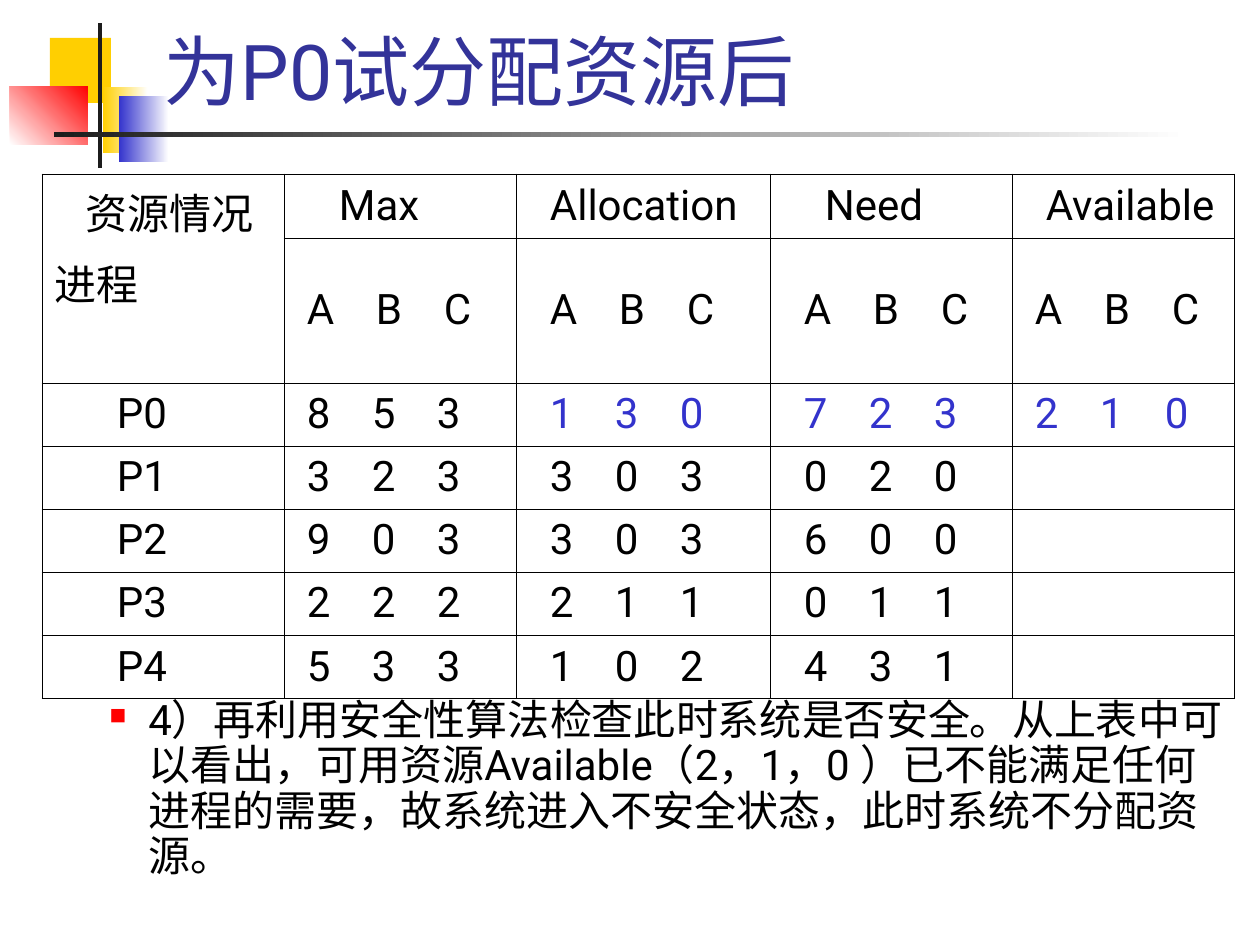
"""Builds a slide with the resource table after a trial allocation to P0."""
from lxml.etree import SubElement
from pptx import Presentation
from pptx.dml.color import RGBColor
from pptx.enum.shapes import MSO_SHAPE as Shape
from pptx.enum.text import MSO_ANCHOR as Anchor, PP_ALIGN as Align
from pptx.oxml.ns import qn
from pptx.util import Emu, Pt

SCALE = 914400 // 126
FONT = "Roboto"
BLACK = RGBColor(0x00, 0x00, 0x00)
WHITE = RGBColor(0xFF, 0xFF, 0xFF)
INK = RGBColor(0x1C, 0x1C, 0x1C)
YELLOW = RGBColor(0xFF, 0xCF, 0x01)
RED = RGBColor(0xFF, 0x00, 0x00)
BLUE = RGBColor(0x33, 0x33, 0xCC)
NAVY = RGBColor(0x33, 0x33, 0x99)

TITLE = "为P0试分配资源后"
NOTE = ("4）再利用安全性算法检查此时系统是否安全。从上表中可以看出，"
        "可用资源Available（2，1，0 ）已不能满足任何进程的需要，"
        "故系统进入不安全状态，此时系统不分配资源。")
CORNER = ["资源情况", "进程"]
GROUPS = ["Max", "Allocation", "Need", "Available"]
RESOURCES = "ABC"
PROCESSES = [
    ("P0", "853", "130", "723", "210"),
    ("P1", "323", "303", "020"),
    ("P2", "903", "303", "600"),
    ("P3", "222", "211", "011"),
    ("P4", "533", "102", "431"),
]
DECORATIONS = [
    ((50, 38, 61, 65), [YELLOW], 0),
    ((103, 87, 45, 66), [YELLOW, WHITE], 0),
    ((119, 96, 50, 66), [BLUE, WHITE], 0),
    ((10, 86, 78, 59), [WHITE, RED], 45),
    ((98, 23, 4, 145), [INK], 0),
    ((54, 132, 1134, 5), [INK, WHITE], 0),
]

COLUMN_WIDTHS = [242, 232, 254, 242, 222]
ROW_HEIGHTS = [64, 145] + [63] * len(PROCESSES)
CELL_MARGIN = 13
GROUP_INDENTS = [42, 21, 42, 21]
VALUE_INDENTS = [10, 21, 21, 10]
PROCESS_INDENT = 62
LETTER_TABS = [69, 137]
DIGIT_TABS = [65, 130]


def px(value):
    return Emu(value * SCALE)


def box(*lengths):
    return [px(length) for length in lengths]


def style(paragraph, size, color):
    paragraph.font.name = FONT
    paragraph.font.size = Pt(size)
    paragraph.font.color.rgb = color


def add_decoration(slide, place, colors, angle):
    shape = slide.shapes.add_shape(Shape.RECTANGLE, *box(*place))
    shape.shadow.inherit = False
    shape.line.fill.background()
    if len(colors) == 1:
        shape.fill.solid()
        shape.fill.fore_color.rgb = colors[0]
        return
    shape.fill.gradient()
    shape.fill.gradient_angle = angle
    for stop, color in zip(shape.fill.gradient_stops, colors):
        stop.color.rgb = color


def frame_cell(cell):
    properties = cell._tc.get_or_add_tcPr()
    for side in ("lnL", "lnR", "lnT", "lnB"):
        line = SubElement(properties, qn(f"a:{side}"), w=str(Pt(0.45)))
        fill = SubElement(line, qn("a:solidFill"))
        SubElement(fill, qn("a:srgbClr"), val=str(BLACK))
    cell.fill.background()


def write_cell(cell, text, indent, tabs=(), color=BLACK):
    cell.vertical_anchor = Anchor.MIDDLE
    cell.margin_left = px(CELL_MARGIN + indent)
    paragraph = cell.text_frame.paragraphs[0]
    paragraph.text = text
    if tabs:
        tab_list = SubElement(paragraph._p.get_or_add_pPr(), qn("a:tabLst"))
        for position in tabs:
            SubElement(tab_list, qn("a:tab"), pos=str(px(position)), algn="l")
    style(paragraph, 24, color)


def write_corner(cell):
    cell.text = "\n".join(CORNER)
    first, second = cell.text_frame.paragraphs
    first._p.get_or_add_pPr().set("marL", str(px(31)))
    second.space_before = Pt(6)
    for paragraph in (first, second):
        style(paragraph, 24, BLACK)


def add_resource_table(slide):
    place = box(42, 174, sum(COLUMN_WIDTHS), sum(ROW_HEIGHTS))
    table = slide.shapes.add_table(len(ROW_HEIGHTS), len(COLUMN_WIDTHS), *place).table
    table.first_row = table.horz_banding = False
    for column, width in zip(table.columns, COLUMN_WIDTHS):
        column.width = px(width)
    for row, height in zip(table.rows, ROW_HEIGHTS):
        row.height = px(height)
    for cell in table.iter_cells():
        frame_cell(cell)
    table.cell(0, 0).merge(table.cell(1, 0))
    write_corner(table.cell(0, 0))
    for index, group in enumerate(GROUPS):
        write_cell(table.cell(0, index + 1), group, GROUP_INDENTS[index])
        write_cell(table.cell(1, index + 1), "\t".join(RESOURCES),
                   VALUE_INDENTS[index], LETTER_TABS)
    for row, (process, *values) in enumerate(PROCESSES, start=2):
        write_cell(table.cell(row, 0), process, PROCESS_INDENT)
        for index, digits in enumerate(values):
            changed = process == "P0" and GROUPS[index] != "Max"
            write_cell(table.cell(row, index + 1), "\t".join(digits),
                       VALUE_INDENTS[index], DIGIT_TABS, BLUE if changed else BLACK)


def place_title(slide):
    title = slide.shapes.title
    title.left, title.top, title.width, title.height = box(151, 21, 1074, 101)
    slide.shapes._spTree.append(title._element)
    title.text_frame.text = TITLE
    title.text_frame.vertical_anchor = Anchor.BOTTOM
    paragraph = title.text_frame.paragraphs[0]
    paragraph.alignment = Align.LEFT
    style(paragraph, 44, NAVY)


def add_note(slide):
    frame = slide.shapes.add_textbox(*box(34, 693, 1208, 207)).text_frame
    frame.word_wrap = True
    paragraph = frame.paragraphs[0]
    paragraph.text = NOTE
    paragraph.line_spacing = 0.9
    properties = paragraph._p.get_or_add_pPr()
    properties.set("marL", str(px(102)))
    properties.set("indent", str(px(-39)))
    bullet_color = SubElement(properties, qn("a:buClr"))
    SubElement(bullet_color, qn("a:srgbClr"), val=str(RED))
    SubElement(properties, qn("a:buSzPct"), val="55000")
    SubElement(properties, qn("a:buChar"), char="■")
    style(paragraph, 24, BLACK)


def main():
    presentation = Presentation()
    presentation.slide_width, presentation.slide_height = box(1260, 945)
    slide = presentation.slides.add_slide(presentation.slide_layouts[5])
    for decoration in DECORATIONS:
        add_decoration(slide, *decoration)
    place_title(slide)
    add_note(slide)
    add_resource_table(slide)
    presentation.save("out.pptx")


if __name__ == "__main__":
    main()
